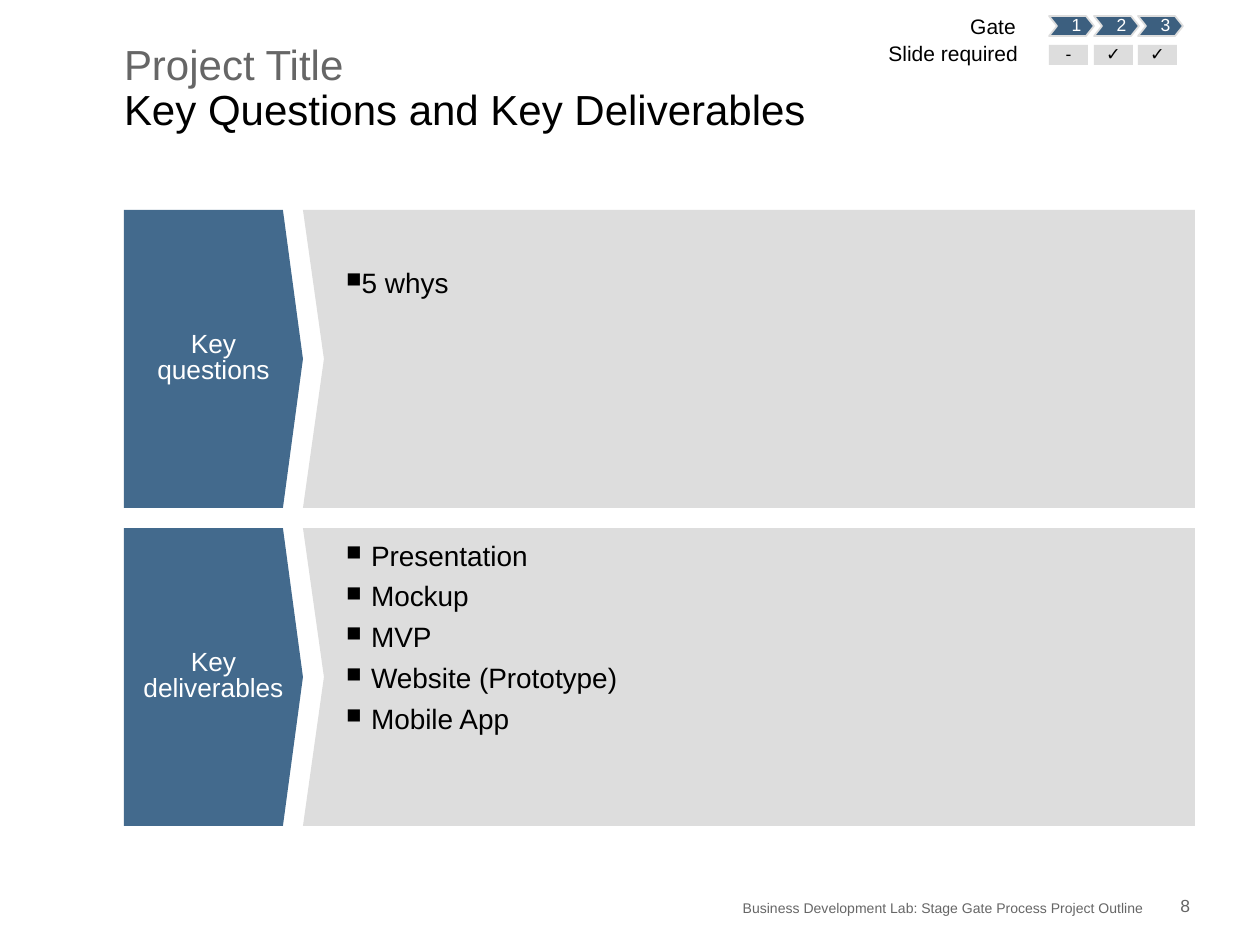
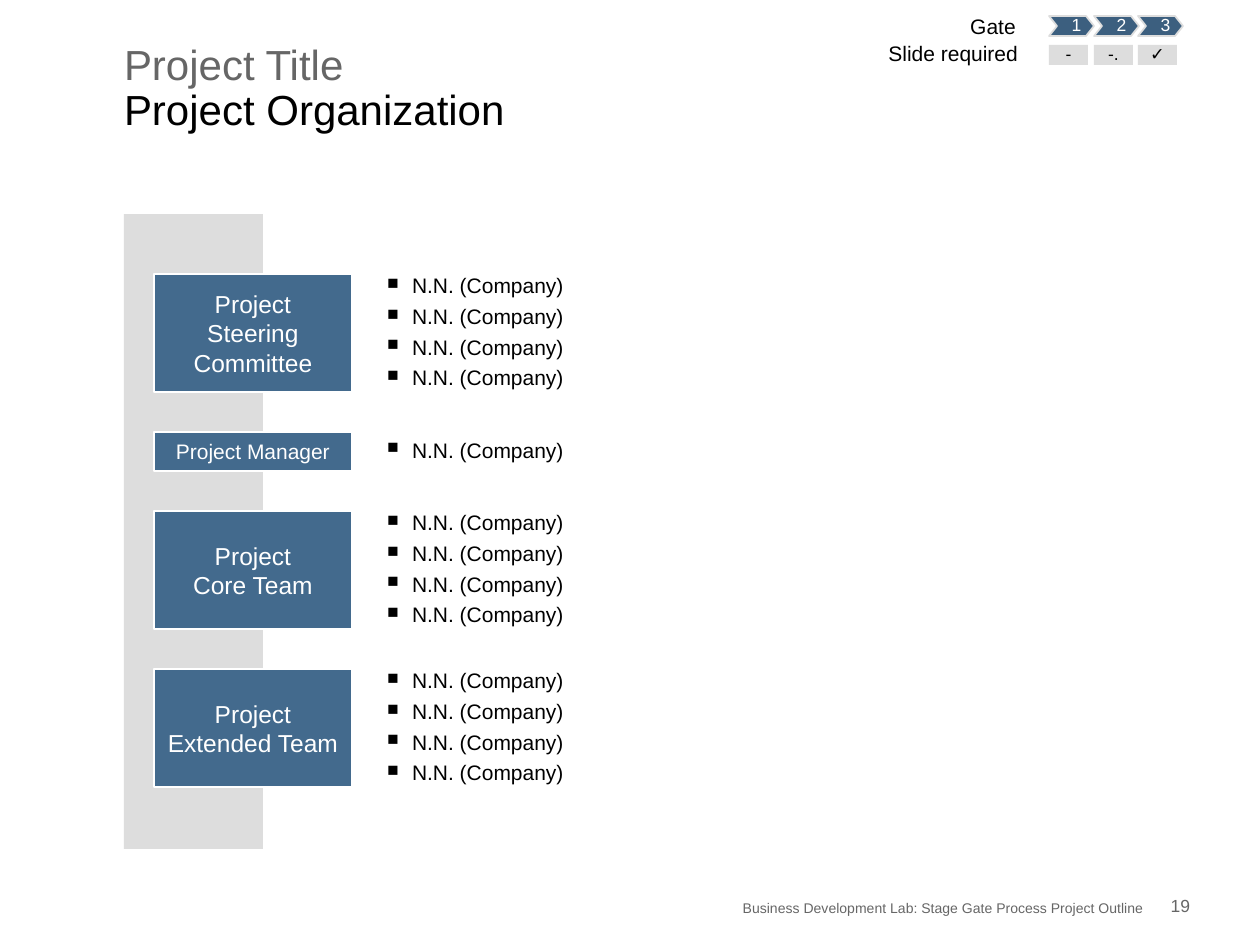
from lxml.etree import SubElement
from pptx import Presentation
from pptx.dml.color import RGBColor
from pptx.enum.shapes import MSO_SHAPE as Shape
from pptx.enum.text import MSO_ANCHOR as Anchor, PP_ALIGN as Align
from pptx.oxml.ns import qn
from pptx.util import Pt

SCALE = 914400 / 126
FONT = "Arial"
HUES = {
    "blue": "436A8D",
    "navy": "3C5F7F",
    "pale": "DDDDDD",
    "gray": "666666",
    "black": "000000",
    "white": "FFFFFF",
}
FOOTER = "Business Development Lab: Stage Gate Process Project Outline"


def px(n):
    return round(n * SCALE)


def rgb(hue):
    return RGBColor.from_string(HUES[hue])


def paint(shape, fill=None, line=None, width=1):
    shape.shadow.inherit = False
    if fill:
        shape.fill.solid()
        shape.fill.fore_color.rgb = rgb(fill)
    else:
        shape.fill.background()
    if line:
        shape.line.color.rgb = rgb(line)
        shape.line.width = Pt(width)
    else:
        shape.line.fill.background()
    return shape


def rect(slide, box, fill=None, line=None, width=1):
    shape = slide.shapes.add_shape(Shape.RECTANGLE, *map(px, box))
    return paint(shape, fill, line, width)


def outline(slide, points, fill, line=None):
    form = slide.shapes.build_freeform(*points[0], scale=SCALE)
    form.add_line_segments(points[1:], close=True)
    return paint(form.convert_to_shape(), fill, line)


def bullet(para, left, hang):
    props = para._p.get_or_add_pPr()
    props.set("marL", str(px(left)))
    props.set("indent", str(px(-hang)))
    color = SubElement(props, qn("a:buClr"))
    SubElement(color, qn("a:srgbClr"), val=HUES["black"])
    SubElement(props, qn("a:buSzPct"), val="75000")
    SubElement(props, qn("a:buChar"), char="■")


def write(shape, paras, size, hues=("black",), align=Align.LEFT,
          anchor=Anchor.MIDDLE, pad=(0, 0), lead=None, before=None,
          after=None, marks=None, wrap=False):
    frame = shape.text_frame
    frame.word_wrap = wrap
    frame.vertical_anchor = anchor
    frame.margin_left, frame.margin_right = map(px, pad)
    frame.margin_top = frame.margin_bottom = 0
    for i, text in enumerate(paras):
        para = frame.add_paragraph() if i else frame.paragraphs[0]
        if marks:
            bullet(para, *marks)
        para.alignment = align
        if lead:
            para.line_spacing = lead
        if before and i:
            para.space_before = Pt(before)
        if after:
            para.space_after = Pt(after)
        for j, part in enumerate(text.split("\n")):
            if j:
                para.add_line_break()
            run = para.add_run()
            run.text = part
            run.font.name = FONT
            run.font.size = Pt(size)
            run.font.color.rgb = rgb(hues[j % len(hues)])


def label(slide, box, text, size, **style):
    write(slide.shapes.add_textbox(*map(px, box)), [text], size, **style)


def gates(slide, x, y, checks):
    top = {"anchor": Anchor.TOP, "lead": 0.9, "after": 4.5}
    label(slide, (x - 79, y, 46, 23), "Gate", 12, align=Align.CENTER, **top)
    label(slide, (x - 161, y + 27, 130, 23), "Slide required", 12,
          align=Align.RIGHT, **top)
    style = {"align": Align.CENTER, "lead": 0.9, "after": 3.7}
    for i, check in enumerate(checks):
        left = x + round(44.7 * i)
        points = [(left, y), (left + 37, y), (left + 45, y + 10),
                  (left + 37, y + 20), (left, y + 20), (left + 8, y + 10)]
        arrow = outline(slide, points, "navy", "pale")
        write(arrow, [str(i + 1)], 10, hues=("white",), pad=(10, 0), **style)
        cell = rect(slide, (left, y + 29, 39, 20), "pale")
        write(cell, [check], 10, **style)


def footer(slide, x, y, page):
    style = {"hues": ("gray",), "align": Align.RIGHT, "anchor": Anchor.BOTTOM}
    label(slide, (x, y, 934, 20), FOOTER, 8, **style)
    label(slide, (x + 934, y, 46, 20), str(page), 10, **style)


def frame(deck, title, page, checks):
    slide = deck.slides.add_slide(deck.slide_layouts[6])
    label(slide, (124, 44, 1066, 134), "Project Title\n" + title, 24,
          hues=("gray", "black"), anchor=Anchor.TOP, lead=0.9, after=9,
          wrap=True)
    gates(slide, 1049, 16, checks)
    footer(slide, 210, 896, page)
    return slide


def topic(slide, box, name, items, marks, drop):
    x, y, w, h = box
    mid, low, split = y + h // 2, y + h, x + 179
    tag = outline(slide, [(x, y), (split - 20, y), (split, mid),
                          (split - 20, low), (x, low)], "blue")
    write(tag, [name], 15, hues=("white",), align=Align.CENTER, lead=0.8)
    outline(slide, [(x + w, y), (split, y), (split + 21, mid),
                    (split, low), (x + w, low)], "pale")
    area = (split + 30, y + 14 + drop, w - 218, h - 20 - drop)
    body = slide.shapes.add_textbox(*map(px, area))
    write(body, items, 16, anchor=Anchor.TOP, lead=0.9, before=6,
          marks=marks, wrap=True)


def questions(deck):
    slide = frame(deck, "Key Questions and Key Deliverables", 8, "-✓✓")
    goals = ["Presentation", "Mockup", "MVP", "Website (Prototype)",
             "Mobile App"]
    topics = [("Key\nquestions", ["5 whys"], (13, 0), 45),
              ("Key\ndeliverables", goals, (38, 25), 0)]
    for i, parts in enumerate(topics):
        topic(slide, (124, 210 + 318 * i, 1071, 298), *parts)


def team(slide, box, name, size, count):
    x, y, w, h = box
    people = rect(slide, (x + 209, y, w - 209, h), line="white", width=1.5)
    write(people, ["N.N. (Company)"] * count, 12, pad=(10, 10), lead=0.9,
          after=4.5, marks=(39, 25), wrap=True)
    tag = rect(slide, (x, y, 198, h), "blue", "white", 1.5)
    write(tag, [name], size, hues=("white",), align=Align.CENTER)


def staff(deck):
    slide = frame(deck, "Project Organization", 19, ["-", "-.", "✓"])
    rect(slide, (124, 214, 139, 635), "pale")
    teams = [("Project\nSteering\nCommittee", 14, 4),
             ("Project Manager", 12, 1),
             ("Project\nCore Team", 14, 4),
             ("Project\nExtended Team", 14, 4)]
    top = 274
    for name, size, count in teams:
        high = 118 if count > 1 else 39
        team(slide, (154, top, 1022, high), name, size, count)
        top += high + 40


def main():
    deck = Presentation()
    deck.slide_width, deck.slide_height = px(1260), px(945)
    questions(deck)
    staff(deck)
    deck.save("out.pptx")


if __name__ == "__main__":
    main()
